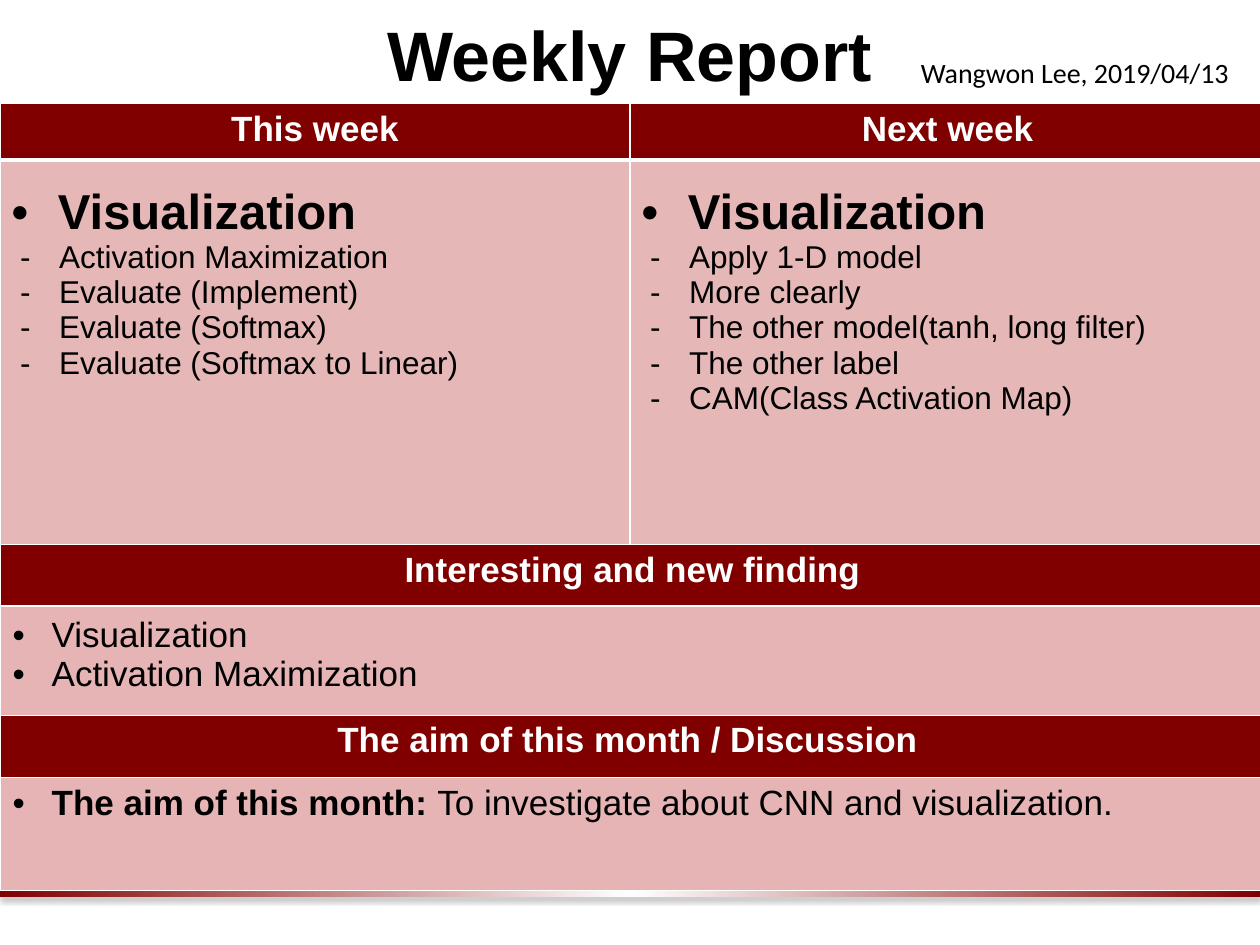
from lxml.etree import SubElement
from pptx import Presentation
from pptx.dml.color import RGBColor
from pptx.enum.shapes import MSO_SHAPE
from pptx.enum.text import MSO_ANCHOR, PP_ALIGN
from pptx.oxml import parse_xml
from pptx.oxml.ns import nsdecls, qn
from pptx.util import Inches, Pt

MAROON = RGBColor(0x80, 0x00, 0x00)
ROSE = RGBColor(0xE5, 0xB8, 0xB7)
PINK = RGBColor(0xE6, 0xB4, 0xB4)
WHITE = RGBColor(0xFF, 0xFF, 0xFF)
BLACK = RGBColor(0x00, 0x00, 0x00)

# Text formats
TITLE = dict(size=Pt(40), bold=True, name="Arial")
BYLINE = dict(size=Pt(16), bold=False, name="Calibri")
HEAD = dict(size=Pt(20), bold=True, name="Arial")
BODY = dict(size=Pt(20), bold=False, name="Arial")
TOPIC = dict(size=Pt(28), bold=True, name="Arial")
ITEM = dict(size=Pt(18), bold=False, name="Arial")

# Bullets: sign, left margin, first-line indent
BIG = ("•", 0.46, -0.37)
DASH = ("-", 0.47, -0.31)
DOT = ("•", 0.31, -0.31)


def plan(topic, *items):
    return [(BIG, [(topic, TOPIC)])] + [(DASH, [(t, ITEM)]) for t in items]


def head(text):
    return [(None, [(text, HEAD)])]


THIS = plan("Visualization", "Activation Maximization", "Evaluate (Implement)",
            "Evaluate (Softmax)", "Evaluate (Softmax to Linear)")
NEXT = plan("Visualization", "Apply 1-D model", "More clearly",
            "The other model(tanh, long filter)", "The other label",
            "CAM(Class Activation Map)")
FOUND = [(DOT, [(t, BODY)]) for t in ("Visualization", "Activation Maximization")]
AIM = [(DOT, [("The aim of this month: ", HEAD),
              ("To investigate about CNN and visualization.", BODY)])]

# Rows: height, fill, side inset, top and bottom inset, cells (one cell spans)
ROWS = [
    (0.45, MAROON, 0.1, 0.05, [head("This week"), head("Next week")]),
    (3.05, ROSE, 0, 0.2, [THIS, NEXT]),
    (0.49, MAROON, 0.1, 0.05, [head("Interesting and new finding")]),
    (0.87, PINK, 0.1, 0.08, [FOUND]),
    (0.49, MAROON, 0.1, 0.04, [head("The aim of this month / Discussion ")]),
    (0.9, PINK, 0.1, 0.05, [AIM]),
]
COLS = [5, 5.04]


def write(para, runs, color):
    for text, form in runs:
        run = para.add_run()
        run.text = text
        for key, val in form.items():
            setattr(run.font, key, val)
        run.font.color.rgb = color


def bullet(para, sign, left, indent):
    props = para._p.get_or_add_pPr()
    props.set("marL", str(Inches(left)))
    props.set("indent", str(Inches(indent)))
    tint = SubElement(props, qn("a:buClr"))
    SubElement(tint, qn("a:srgbClr"), val=str(BLACK))
    SubElement(props, qn("a:buFont"), typeface="Arial")
    SubElement(props, qn("a:buChar"), char=sign)


def border(cell, row):
    props = cell._tc.get_or_add_tcPr()
    for side in "LRTB":
        thick = (row, side) in ((0, "B"), (1, "T"))
        line = SubElement(props, qn(f"a:ln{side}"), w=str(Pt(3 if thick else 0.96)))
        fill = SubElement(line, qn("a:solidFill"))
        SubElement(fill, qn("a:srgbClr"), val=str(WHITE))


def label(slide, spot, text, form, align, anchor):
    frame = slide.shapes.add_textbox(*map(Inches, spot)).text_frame
    frame.word_wrap = True
    frame.vertical_anchor = anchor
    para = frame.paragraphs[0]
    para.alignment = align
    write(para, [(text, form)], BLACK)


def bar(slide):
    shape = slide.shapes.add_shape(
        MSO_SHAPE.RECTANGLE, 0, Inches(7.07), Inches(10), Inches(0.05))
    shape.line.fill.background()
    stops = "".join(
        f'<a:gs pos="{pos * 1000}"><a:srgbClr val="{color}"/></a:gs>'
        for pos, color in ((0, MAROON), (50, WHITE), (100, MAROON)))
    props = shape._element.spPr
    props.find(qn("a:prstGeom")).addnext(parse_xml(
        f'<a:gradFill {nsdecls("a")}><a:gsLst>{stops}</a:gsLst>'
        '<a:lin ang="0" scaled="0"/></a:gradFill>'))
    props.append(parse_xml(
        f'<a:effectLst {nsdecls("a")}><a:outerShdw blurRad="{Pt(3.1)}" '
        f'dist="{Pt(1.8)}" dir="5400000" rotWithShape="0">'
        f'<a:srgbClr val="{BLACK}"><a:alpha val="35000"/></a:srgbClr>'
        '</a:outerShdw></a:effectLst>'))


def grid(slide):
    high = sum(row[0] for row in ROWS)
    table = slide.shapes.add_table(
        len(ROWS), len(COLS), 0, Inches(0.82),
        Inches(sum(COLS)), Inches(high)).table
    for col, wide in zip(table.columns, COLS):
        col.width = Inches(wide)
    for r, (tall, fill, side, edge, cells) in enumerate(ROWS):
        table.rows[r].height = Inches(tall)
        for c in range(len(COLS)):
            cell = table.cell(r, c)
            border(cell, r)
            cell.fill.solid()
            cell.fill.fore_color.rgb = fill
            cell.margin_left = cell.margin_right = Inches(side)
            cell.margin_top = cell.margin_bottom = Inches(edge)
        if len(cells) == 1:
            table.cell(r, 0).merge(table.cell(r, 1))
        for c, lines in enumerate(cells):
            frame = table.cell(r, c).text_frame
            for i, (mark, runs) in enumerate(lines):
                para = frame.add_paragraph() if i else frame.paragraphs[0]
                if mark:
                    bullet(para, *mark)
                else:
                    para.alignment = PP_ALIGN.CENTER
                write(para, runs, BLACK if mark else WHITE)


def main():
    deck = Presentation()
    deck.slide_width, deck.slide_height = Inches(10), Inches(7.5)
    slide = deck.slides.add_slide(deck.slide_layouts[6])
    bar(slide)
    label(slide, (0.01, 0.03, 9.97, 0.79), "Weekly Report", TITLE,
          PP_ALIGN.CENTER, MSO_ANCHOR.MIDDLE)
    label(slide, (7.21, 0.39, 2.82, 0.4), "Wangwon Lee, 2019/04/13", BYLINE,
          PP_ALIGN.LEFT, MSO_ANCHOR.TOP)
    grid(slide)
    deck.save("out.pptx")


if __name__ == "__main__":
    main()
